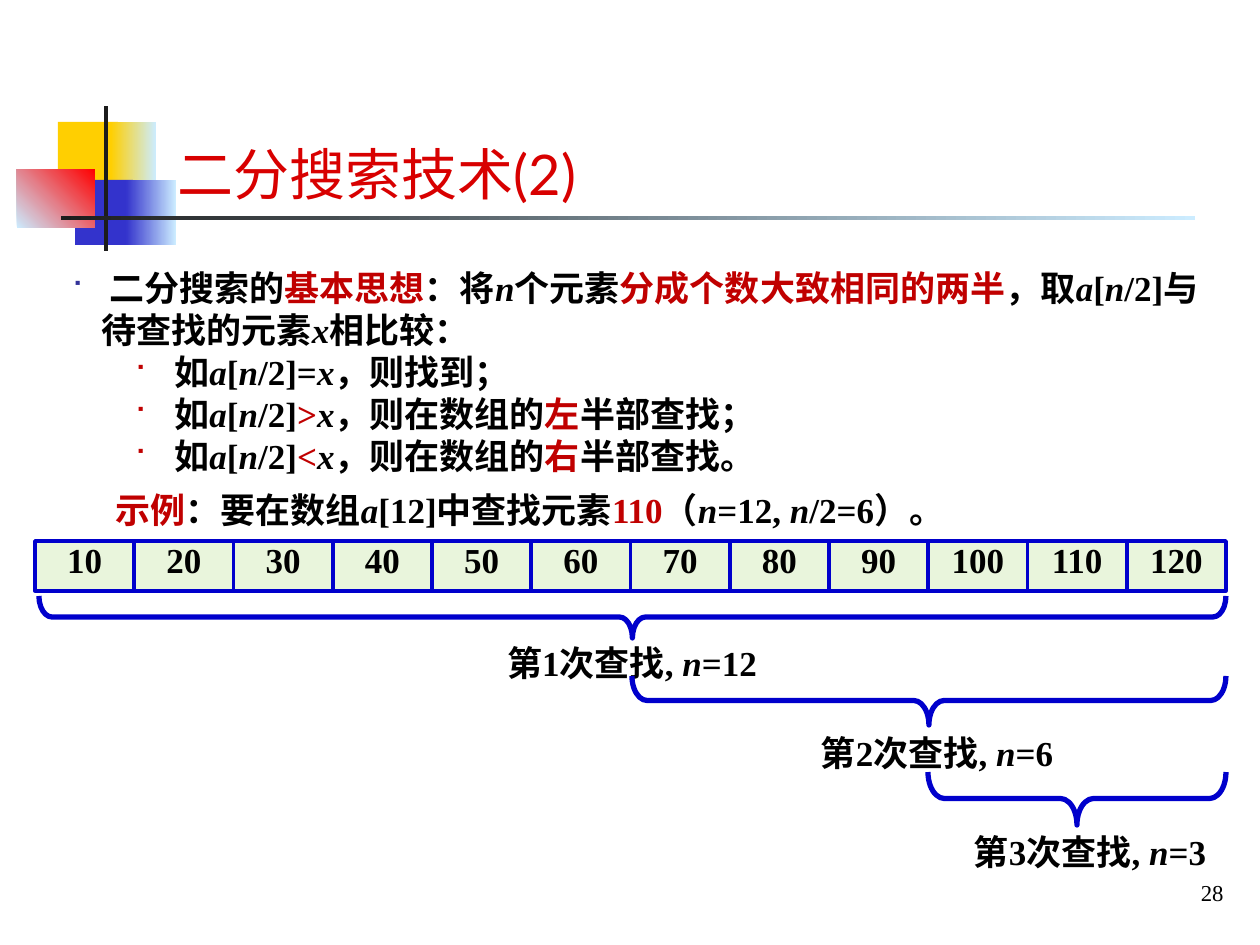
import lxml.etree
import pptx
import pptx.dml.color
import pptx.enum.shapes
import pptx.enum.text
import pptx.oxml.ns
import pptx.util

PX = 914400 / 126
COLORS = {
    "yellow": "FFCF01", "indigo": "3333CC", "pale": "CCECFF", "scarlet": "FF0000",
    "dark": "1C1C1C", "title": "D80000", "black": "000000", "red": "C00000",
    "navy": "333399", "outline": "0000CC", "cell": "92D050",
}
RGB = {name: pptx.dml.color.RGBColor.from_string(code) for name, code in COLORS.items()}
SHAPE = pptx.enum.shapes.MSO_SHAPE
ALIGN = pptx.enum.text.PP_ALIGN
ANCHOR = pptx.enum.text.MSO_ANCHOR
FIT = pptx.enum.text.MSO_AUTO_SIZE
# One-line centred labels: no side insets, so the words keep room to spare
LABEL = {"align": ALIGN.CENTER, "word_wrap": False, "margin_left": 0, "margin_right": 0}
qn = pptx.oxml.ns.qn

deck = pptx.Presentation()
deck.slide_width, deck.slide_height = round(1260 * PX), round(945 * PX)
slide = deck.slides.add_slide(deck.slide_layouts[6])


def add_plain_shape(preset, box):
    shape = slide.shapes.add_shape(preset, *(round(v * PX) for v in box))
    shape.shadow.inherit = False
    return shape


def add_text(box, lines, size=20, font="Times New Roman", color="black", bold=True,
             align=ALIGN.LEFT, **frame_format):
    """Add a text box; in each line ^...^ marks red and _..._ marks italic."""
    frame = slide.shapes.add_textbox(*(round(v * PX) for v in box)).text_frame
    for name, value in {"word_wrap": True, **frame_format}.items():
        setattr(frame, name, value)
    for row, line in enumerate(lines):
        paragraph = frame.add_paragraph() if row else frame.paragraphs[0]
        paragraph.alignment = align
        for c, colored in enumerate(line.split("^")):
            for i, words in enumerate(colored.split("_")):
                if not words:
                    continue
                run = paragraph.add_run()
                run.text = words
                look = {"size": pptx.util.Pt(size), "name": font, "bold": bold,
                        "italic": i % 2 == 1}
                for name, value in look.items():
                    setattr(run.font, name, value)
                run.font.color.rgb = RGB["red" if c % 2 else color]
    return frame


# Corner ornament and title rule: box, start colour, end colour, angle
ornament = [
    ((58, 122, 60, 66), "yellow", None, 0),
    ((111, 122, 45, 66), "yellow", "pale", 0),
    ((75, 180, 58, 65), "indigo", None, 0),
    ((126, 180, 50, 65), "indigo", "pale", 0),
    ((17, 169, 78, 59), "pale", "scarlet", 45),
    ((104, 106, 4, 145), "dark", None, 0),
    ((61, 216, 1134, 4), "dark", "pale", 0),
]
for box, start, end, angle in ornament:
    block = add_plain_shape(SHAPE.RECTANGLE, box)
    block.line.fill.background()
    if end is None:
        block.fill.solid()
        block.fill.fore_color.rgb = RGB[start]
    else:
        block.fill.gradient()
        block.fill.gradient_angle = angle
        for stop, name in zip(block.fill.gradient_stops, (start, end)):
            stop.color.rgb = RGB[name]

add_text((165, 76, 1061, 137), ["二分搜索技术(2)"], size=32, font="Lato", color="title",
         bold=False, vertical_anchor=ANCHOR.BOTTOM)
add_text((995, 869, 241, 47), ["28"], size=13, bold=False, align=ALIGN.RIGHT,
         vertical_anchor=ANCHOR.MIDDLE)

# Basic idea, with its three cases one level down
idea = add_text((59, 260, 1166, 223), [
    " 二分搜索的^基本思想^：将_n_个元素^分成个数大致相同的两半^，取_a_[_n_/2]与待查找的元素_x_相比较：",
    "如_a_[_n_/2]=_x_，则找到；",
    "如_a_[_n_/2]^>^_x_，则在数组的^左^半部查找；",
    "如_a_[_n_/2]^<^_x_，则在数组的^右^半部查找。",
], auto_size=FIT.SHAPE_TO_FIT_TEXT)
for row, paragraph in enumerate(idea.paragraphs):
    paragraph.level = 1 if row else 0
    margin, hanging, bullet_color = (103, 40, "red") if row else (30, 30, "navy")
    properties = paragraph._p.get_or_add_pPr()
    properties.set("marL", str(round(margin * PX)))
    properties.set("indent", str(round(-hanging * PX)))
    tint = lxml.etree.SubElement(properties, qn("a:buClr"))
    lxml.etree.SubElement(tint, qn("a:srgbClr"), val=COLORS[bullet_color])
    lxml.etree.SubElement(properties, qn("a:buSzPct"), val="80000")
    lxml.etree.SubElement(properties, qn("a:buFont"), typeface="Wingdings")
    lxml.etree.SubElement(properties, qn("a:buChar"), char="■")

add_text((103, 482, 906, 55),
         ["^示例^：要在数组_a_[12]中查找元素^110^（_n_=12, _n_/2=6）。"],
         auto_size=FIT.SHAPE_TO_FIT_TEXT)

# Array of twelve sorted values
array_left, array_right, count = 35, 1226, 12
cell_width = (array_right - array_left) / count
for index in range(count):
    left = array_left + index * cell_width
    cell = add_plain_shape(SHAPE.RECTANGLE, (left, 541, cell_width, 50))
    cell.fill.solid()
    cell.fill.fore_color.rgb = RGB["cell"]
    tone = cell.fill._xPr.find(qn("a:solidFill"))[0]
    lxml.etree.SubElement(tone, qn("a:alpha"), val="20000")
    cell.line.color.rgb = RGB["outline"]
    cell.line.width = pptx.util.Pt(2)
    label_width = 60 if index < 9 else 77
    add_text((left + (cell_width - label_width) / 2, 532, label_width, 55),
             [str(10 * (index + 1))], **LABEL)

# Range of each search: brace left, top and depth, then label box and size
searches = [
    (39, 596, 42, (482, 635, 300, 55), 12),
    (632, 676, 49, (796, 725, 282, 55), 6),
    (928, 772, 53, (949, 824, 282, 55), 3),
]
for step, (left, top, depth, label_box, size) in enumerate(searches, 1):
    span = array_right - left
    # The brace is drawn upright about its centre, then turned to point down
    upright = (left + (span - depth) / 2, top + (depth - span) / 2, depth, span)
    brace = add_plain_shape(SHAPE.LEFT_BRACE, upright)
    brace.rotation = 270
    brace.adjustments[0] = 0.31
    brace.fill.background()
    brace.line.color.rgb = RGB["outline"]
    brace.line.width = pptx.util.Pt(3)
    add_text(label_box, [f"第{step}次查找, _n_={size}"], **LABEL)

deck.save("out.pptx")
